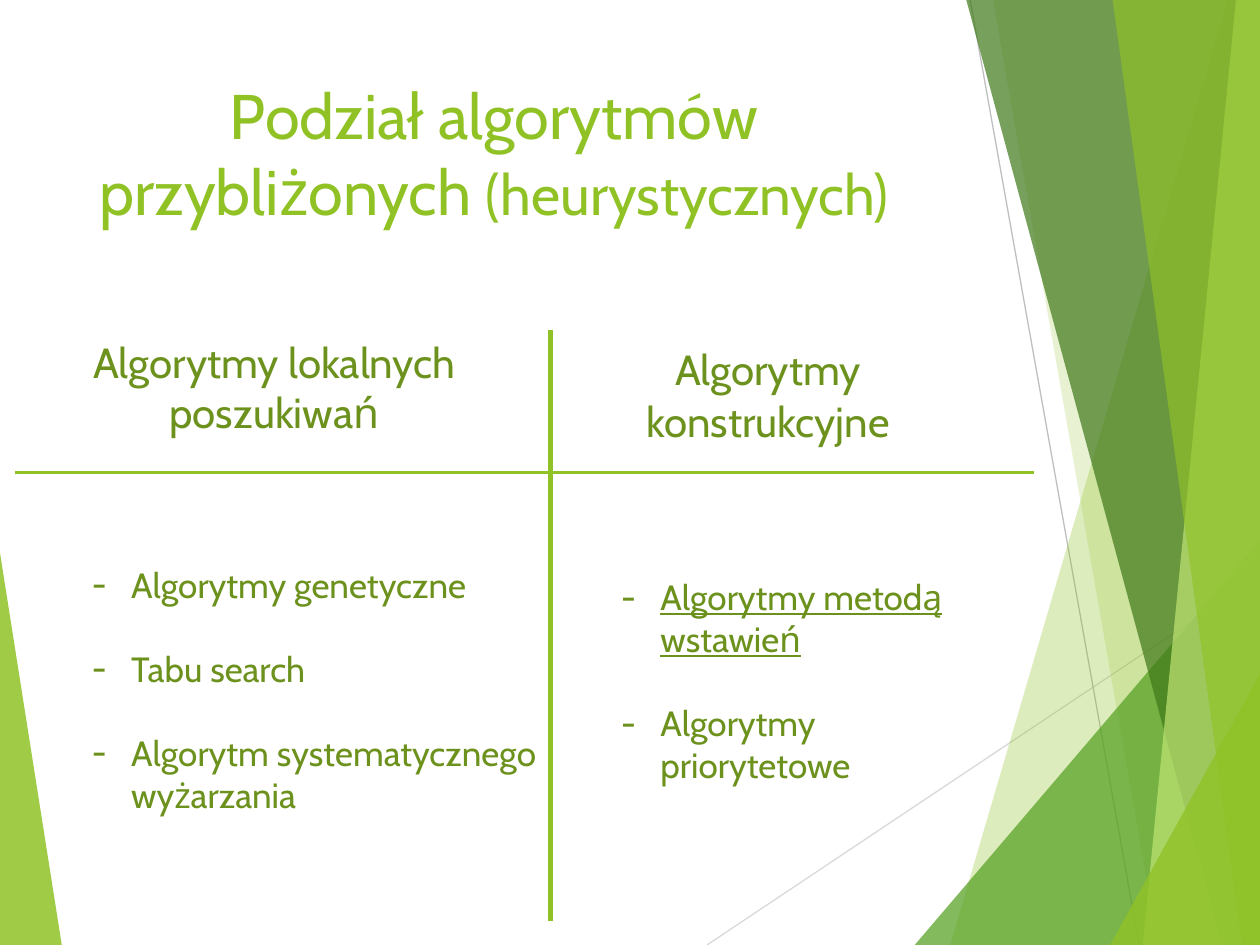
from pptx import Presentation
from pptx.dml.color import RGBColor
from pptx.enum.shapes import MSO_CONNECTOR
from pptx.enum.text import MSO_ANCHOR, MSO_AUTO_SIZE, PP_ALIGN
from pptx.oxml.ns import qn
from pptx.util import Pt
from lxml import etree

LIME = RGBColor(0x90, 0xC2, 0x26)
OLIVE = RGBColor(0x6C, 0x92, 0x1D)
GREEN = RGBColor(0x54, 0xA0, 0x21)
FOREST = RGBColor(0x3F, 0x78, 0x19)
PALE = RGBColor(0xC0, 0xE4, 0x74)
GREY = RGBColor(0xBF, 0xBF, 0xBF)
LIGHT_GREY = RGBColor(0xD9, 0xD9, 0xD9)
FONT = "Cabin"
WIDTH, HEIGHT = 720, 540


def add_line(s, x1, y1, x2, y2, color, width):
    line = s.shapes.add_connector(MSO_CONNECTOR.STRAIGHT, Pt(x1), Pt(y1), Pt(x2), Pt(y2))
    line.line.color.rgb = color
    line.line.width = Pt(width)
    etree.SubElement(line._element.spPr, qn("a:effectLst"))


def add_facet(s, points, color, opacity):
    """Draw a borderless polygon with opacity in percent."""
    start, *rest = [(Pt(x), Pt(y)) for x, y in points]
    builder = s.shapes.build_freeform(*start)
    builder.add_line_segments(rest, close=True)
    sp = builder.convert_to_shape()
    sp.shadow.inherit = False
    sp.line.fill.background()
    sp.fill.solid()
    sp.fill.fore_color.rgb = color
    clr = sp.fill._xPr.find(qn("a:solidFill"))[0]
    etree.SubElement(clr, qn("a:alpha"), val=str(opacity * 1000))


def add_run(p, text, size=20, color=OLIVE, underline=None):
    r = p.add_run()
    r.text = text
    r.font.name = FONT
    r.font.size = Pt(size)
    r.font.color.rgb = color
    r.font.underline = underline


def add_box(s, x, y, w, h):
    tf = s.shapes.add_textbox(Pt(x), Pt(y), Pt(w), Pt(h)).text_frame
    tf.word_wrap = True
    return tf


def add_decoration(s, x, y, w, h):
    """Draw the facets and thin lines at both edges of the box."""
    right, bottom = x + w, y + h
    add_facet(s, [(x, bottom - 224), (x + 35.3, bottom), (x, bottom)], LIME, 85)
    add_line(s, right - 316, bottom, right, bottom - 211, LIGHT_GREY, 0.75)
    add_line(s, right - 165.6, y, right - 69, bottom, GREY, 0.75)
    # Distance of the inner edge from the right side: at the top, at the bottom
    bands = [
        (18.5, 177, LIME, 30),
        (152.6, 58.3, LIME, 20),
        None,
        (167.8, 21.6, FOREST, 70),
        (13.7, 67, PALE, 70),
        (84.2, 10.1, LIME, 65),
    ]
    for band in bands:
        if band is None:
            add_corner(s, right, bottom, 197.3, 231.1, GREEN, 72)
            continue
        top_inset, bottom_inset, color, opacity = band
        add_facet(s, [(right - top_inset, y), (right - bottom_inset, bottom),
                      (right, bottom), (right, y)], color, opacity)
    add_corner(s, right, bottom, 85.7, 154.8, LIME, 80)


def add_corner(s, right, bottom, w, h, color, opacity):
    add_facet(s, [(right - w, bottom), (right, bottom - h), (right, bottom)], color, opacity)


def add_title(s, x, y, w, h):
    title = s.shapes.title
    title.left, title.top, title.width, title.height = Pt(x), Pt(y), Pt(w), Pt(h)
    tf = title.text_frame
    tf.auto_size = MSO_AUTO_SIZE.NONE
    tf.word_wrap = True
    tf.vertical_anchor = MSO_ANCHOR.TOP
    p = tf.paragraphs[0]
    p.alignment = PP_ALIGN.CENTER
    add_run(p, "Podział algorytmów przybliżonych ", size=36, color=LIME)
    add_run(p, "(heurystycznych)", size=32.4, color=LIME)


def add_heading(s, x, y, w, h, parts):
    p = add_box(s, x, y, w, h).paragraphs[0]
    p.alignment = PP_ALIGN.CENTER
    for text, size in parts:
        add_run(p, text, size=size)


def add_list(s, x, y, w, h, items, underlined=()):
    tf = add_box(s, x, y, w, h)
    for i, item in enumerate(items):
        p = tf.add_paragraph() if i else tf.paragraphs[0]
        p.space_before = Pt(24 if i else 0)
        pPr = p._p.get_or_add_pPr()
        pPr.set("marL", str(Pt(22.5)))
        pPr.set("indent", str(-Pt(22.5)))
        etree.SubElement(pPr, qn("a:buFont"), typeface=FONT)
        etree.SubElement(pPr, qn("a:buChar"), char="-")
        add_run(p, item, underline=item in underlined)


def add_comparison(s, x, y, w, h):
    """Place two headed lists around a cross of lines."""
    middle = x + 306
    add_heading(s, x + 13.7, y, 269, 65.5, [("Algorytmy lokalnych poszukiwań", 24)])
    add_heading(s, x + 329, y, 202.5, 70.5,
                [("Algorytmy", 24), (" ", 28), ("konstrukcyjne", 24)])
    add_line(s, middle, y, middle, y + h, LIME, 2.5)
    add_line(s, x + w, y + 81.4, x, y + 81.4, LIME, 2.25)
    add_list(s, x + 36.8, y + 129.6, 269.3, 177,
             ["Algorytmy genetyczne", "Tabu search", "Algorytm systematycznego wyżarzania"])
    add_list(s, x + 339.2, y + 136.8, 198, 128,
             ["Algorytmy metodą wstawień", "Algorytmy priorytetowe"],
             underlined=["Algorytmy metodą wstawień"])


def main():
    prs = Presentation()
    prs.slide_width, prs.slide_height = Pt(WIDTH), Pt(HEIGHT)
    s = prs.slides.add_slide(prs.slide_layouts[5])
    add_decoration(s, 0, 0, WIDTH, HEIGHT)
    add_title(s, 32.4, 40.3, 499.7, 49.7)
    add_comparison(s, 8.6, 188.6, 582.5, 337.7)
    prs.save("out.pptx")


if __name__ == "__main__":
    main()
